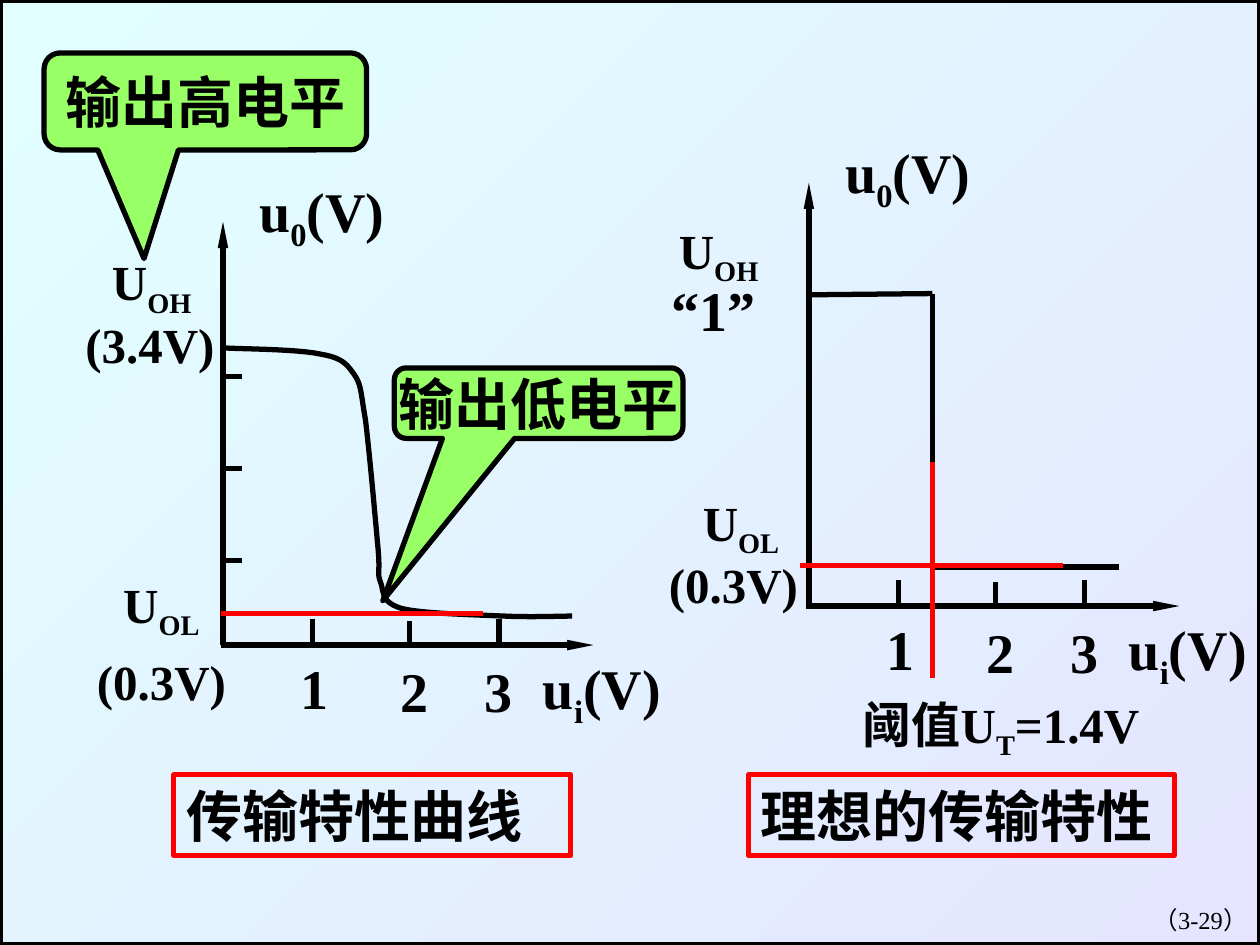
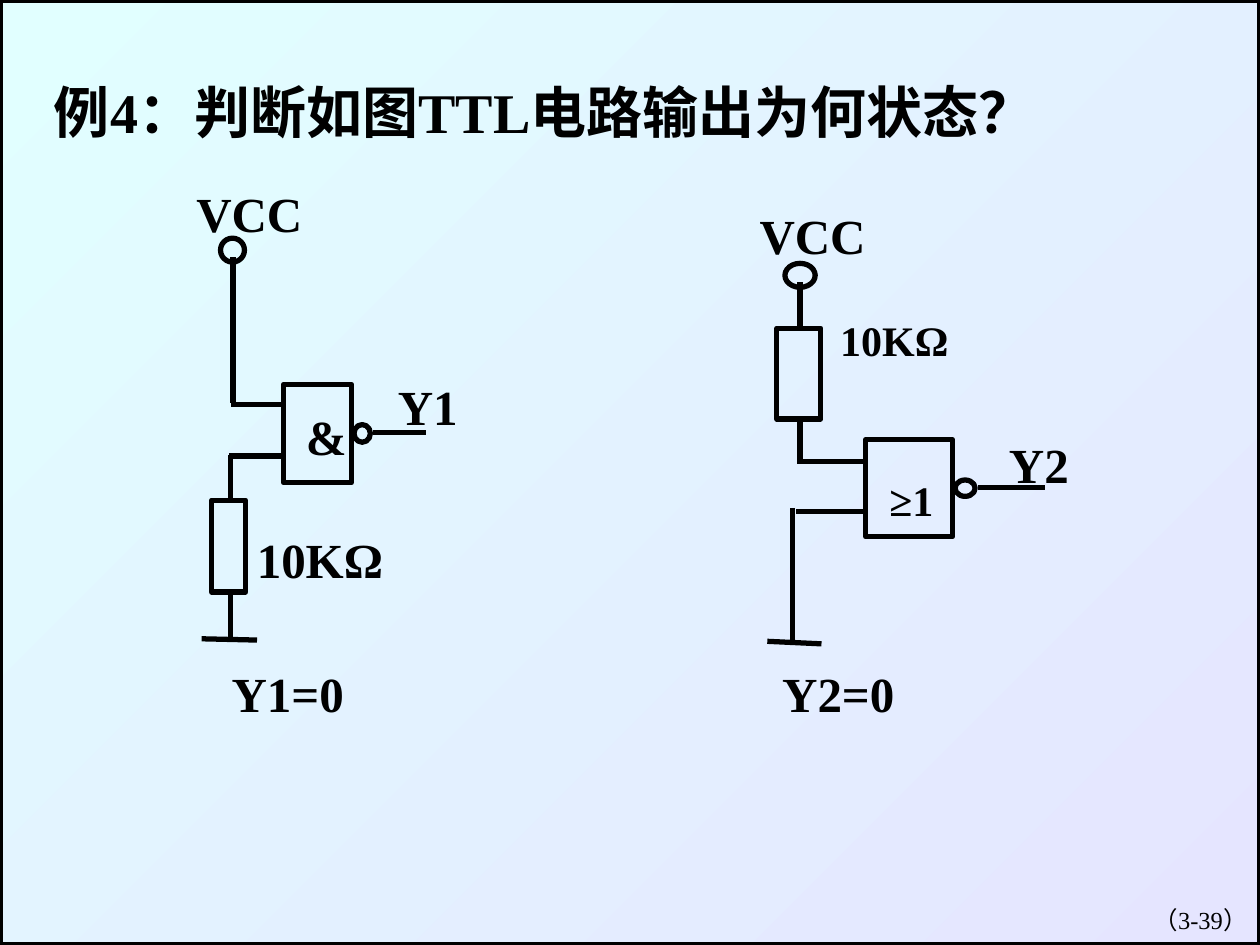
from dataclasses import dataclass

from lxml.etree import SubElement
from pptx import Presentation
from pptx.dml.color import RGBColor
from pptx.enum.lang import MSO_LANGUAGE_ID as Lang
from pptx.enum.shapes import MSO_CONNECTOR, MSO_SHAPE as Shape
from pptx.enum.text import MSO_ANCHOR as Anchor, PP_ALIGN as Align
from pptx.oxml.ns import qn
from pptx.util import Inches, Pt


@dataclass(frozen=True)
class Theme:
    font: str = "Times New Roman"
    ink: RGBColor = RGBColor(0x00, 0x00, 0x00)
    accent: RGBColor = RGBColor(0xFF, 0x00, 0x00)
    callout: RGBColor = RGBColor(0x99, 0xFF, 0x66)
    sky: RGBColor = RGBColor(0xE1, 0xFF, 0xFF)
    lilac: RGBColor = RGBColor(0xE5, 0xE5, 0xFF)
    stroke: Pt = Pt(3)
    large: int = 32
    medium: int = 28
    small: int = 24
    footer: int = 14


theme = Theme()

# Grid: 100 columns by 75 rows; every place below is in grid cells
deck = Presentation()
deck.slide_width, deck.slide_height = Inches(10), Inches(7.5)
COLUMN, ROW = deck.slide_width / 100, deck.slide_height / 75


def put(page, left, top, width, height, text="", size=theme.large, kind=None,
        line=theme.ink, fill=None, align=Align.LEFT, bold=True):
    """Add a text box, or a preset shape if kind is given; _x_ marks a subscript."""
    place = (round(left * COLUMN), round(top * ROW),
             round(width * COLUMN), round(height * ROW))
    if kind is None:
        box = page.shapes.add_textbox(*place)
    else:
        box = page.shapes.add_shape(kind, *place)
        box.shadow.inherit = False
        box.line.color.rgb, box.line.width = line, theme.stroke
        if fill is None:
            box.fill.background()
        else:
            box.fill.solid()
            box.fill.fore_color.rgb = fill
    if text:
        frame = box.text_frame
        frame.word_wrap = fill is None
        frame.vertical_anchor = Anchor.TOP if fill is None else Anchor.MIDDLE
        para = frame.paragraphs[0]
        para.alignment = align
        para.font.name, para.font.size, para.font.bold = theme.font, Pt(size), bold
        para.font.color.rgb = theme.ink
        for order, piece in enumerate(text.split("_")):
            span = para.add_run()
            span.text = piece
            span.font.language_id = Lang.SIMPLIFIED_CHINESE
            if order % 2:
                span._r.get_or_add_rPr().set("baseline", "-25000")
    return box


def draw(page, x1, y1, x2, y2, color=theme.ink, arrow=False):
    """Add a straight line between two grid points."""
    wire = page.shapes.add_connector(
        MSO_CONNECTOR.STRAIGHT, round(x1 * COLUMN), round(y1 * ROW),
        round(x2 * COLUMN), round(y2 * ROW))
    wire.line.color.rgb, wire.line.width = color, theme.stroke
    if arrow:
        SubElement(wire.line._get_or_add_ln(), qn("a:tailEnd"),
                   type="triangle", w="sm", len="lg")
    SubElement(wire._element.spPr, qn("a:effectLst"))


# Shared background and page number
pages = []
for number in ("（3-29）", "（3-39）"):
    page = deck.slides.add_slide(deck.slide_layouts[6])
    backdrop = put(page, 0, 0, 100, 75, kind=Shape.RECTANGLE)
    backdrop.fill.gradient()
    backdrop.fill.gradient_angle = 315
    for stop, color in zip(backdrop.fill.gradient_stops, (theme.sky, theme.lilac)):
        stop.color.rgb = color
    put(page, 79.2, 71.3, 20.8, 5, number, theme.footer, align=Align.RIGHT, bold=False)
    pages.append(page)
curves, circuits = pages

# Slide 1: axes, ticks and axis labels of both plots, measured from the origin
for x, y in ((17.7, 51.2), (64.2, 48.1)):
    draw(curves, x, y, x, y - 33.6, arrow=True)
    draw(curves, x - 0.2, y, x + 29.4, y, arrow=True)
    for tick, rise in ((7.1, 2.1), (14.8, 1.9), (21.9, 2.1)):
        draw(curves, x + tick, y - rise, x + tick, y - rise + 1.9)
    for text, right, down, width in (("u_0_(V)", 1.9, -37.7, 16.7), ("u_i_(V)", 24.4, 0.2, 13.8),
                                     ("1", 5.2, 0.2, 4.4), ("2", 13.1, 0.4, 4.4),
                                     ("3", 19.8, 0.4, 4.4)):
        put(curves, x + right, y + down, width, 7.1, text)
for step in range(3):
    draw(curves, 17.7, 44.5 - 7.3 * step, 19.2, 44.5 - 7.3 * step)

# Measured curve: Bézier segments (two controls and an end), sampled as short lines
segments = (
    ((18.8, 27.7), (23.6, 27.7), (25.4, 28.1)),
    ((27.2, 28.4), (27.5, 28.9), (28.1, 29.7)),
    ((28.7, 30.6), (28.6, 31), (29, 33.3)),
    ((29.3, 35.6), (29.8, 41.3), (30, 43.5)),
    ((30.2, 45.6), (29.9, 45.4), (30.2, 46.2)),
    ((30.5, 47), (30.2, 47.8), (31.9, 48.3)),
    ((33.5, 48.7), (37.7, 48.8), (40, 48.9)),
    ((42.3, 49), (44.3, 48.9), (45.4, 48.9)),
)
start = (17.5, 27.6)
points = [start]
for first, second, end in segments:
    for t in (n / 12 for n in range(1, 13)):
        points.append(tuple(
            (1 - t) ** 3 * a + 3 * (1 - t) ** 2 * t * b + 3 * (1 - t) * t ** 2 * c + t ** 3 * d
            for a, b, c, d in zip(start, first, second, end)))
    start = end
corners = [(round(x * COLUMN), round(y * ROW)) for x, y in points]
builder = curves.shapes.build_freeform(*corners[0])
builder.add_line_segments(corners[1:], close=False)
transfer = builder.convert_to_shape()
transfer.shadow.inherit = False
transfer.fill.background()
transfer.line.color.rgb, transfer.line.width = theme.ink, theme.stroke

# Ideal step, then the red level and threshold lines
for ends in ((64.2, 23.4, 74, 23.3), (74, 23.3, 74, 45.2), (74, 45, 88.8, 45)):
    draw(curves, *ends)
for ends in ((38.3, 48.7, 17.5, 48.7), (84.4, 44.9, 63.5, 44.9), (74, 36.7, 74, 53.8)):
    draw(curves, *ends, color=theme.accent)

# Level labels
for text, left, top, width, size in (
        ("U_OH_", 7.9, 19.5, 11.5, theme.medium), ("(3.4V)", 5.8, 24.5, 13.1, theme.medium),
        ("U_OL_", 8.8, 45.1, 11, theme.medium), ("(0.3V)", 6.7, 51.2, 13.1, theme.medium),
        ("U_OH_", 52.9, 17, 11, theme.medium), ("“1”", 52.3, 21.4, 13.1, theme.large),
        ("U_OL_", 54.8, 38.6, 11, theme.medium), ("(0.3V)", 52.1, 43.5, 13.1, theme.medium),
        ("阈值U_T_=1.4V", 67.5, 54.6, 29, theme.medium)):
    put(curves, left, top, width, 6.3, text, size)

# Plot captions and callouts
for text, left, width in (("传输特性曲线", 13.8, 31.5), ("理想的传输特性", 59.4, 33.8)):
    put(curves, left, 61.5, width, 6.4, text, kind=Shape.RECTANGLE, line=theme.accent)
for text, place, tip in (("输出高电平", (3.5, 4.2, 25.6, 7.7), (-0.19, 1.62)),
                         ("输出低电平", (31.3, 29.2, 22.9, 5.6), (-0.54, 2.8))):
    bubble = put(curves, *place, text, kind=Shape.ROUNDED_RECTANGULAR_CALLOUT,
                 fill=theme.callout, align=Align.CENTER)
    bubble.adjustments[0], bubble.adjustments[1] = tip

# Slide 2: gates, resistors and terminals
for place in ((22.5, 30.5, 5.4, 7.8), (16.8, 39.7, 2.7, 7.3),
              (68.7, 34.9, 6.9, 7.7), (61.65, 26.05, 3.5, 7.2)):
    put(circuits, *place, kind=Shape.RECTANGLE)
for place in ((28.1, 33.7, 1.3, 1.4), (17.5, 18.9, 1.9, 1.9),
              (75.8, 38.1, 1.6, 1.3), (62.3, 20.9, 2.4, 1.9)):
    put(circuits, *place, kind=Shape.OVAL)

# Wires: NAND circuit, then NOR circuit
for ends in (
        (18.5, 32, 18.5, 20.4), (18.3, 32.1, 22.5, 32.1), (18.2, 36.2, 22.4, 36.2),
        (29.6, 34.3, 33.8, 34.3), (18.3, 39.9, 18.3, 36.1), (18.3, 50.7, 18.3, 46.9),
        (16, 50.7, 20.4, 50.8),
        (63.5, 26.1, 63.5, 22.4), (63.5, 36.8, 63.5, 33.1), (63.3, 36.6, 68.7, 36.6),
        (63.2, 40.6, 68.5, 40.6), (77.6, 38.7, 82.9, 38.7), (62.9, 40.3, 62.9, 51.1),
        (60.9, 50.9, 65.2, 51.1)):
    draw(circuits, *ends)

# Title, circuit labels and answers
put(circuits, 3.3, 5.7, 86.1, 6.4, "例4：判断如图TTL电路输出为何状态？")
for text, left, top, size in (
        ("VCC", 14.6, 14.1, theme.medium), ("&", 23.3, 31.8, theme.medium),
        ("Y1", 30.6, 29.4, theme.medium), ("10KΩ", 19.4, 41.5, theme.medium),
        ("Y1=0", 17.4, 52.2, theme.medium),
        ("VCC", 59.3, 15.8, theme.medium), ("≥1", 69.6, 37.2, theme.small),
        ("Y2", 79.1, 34, theme.medium), ("10KΩ", 65.7, 24.5, theme.small),
        ("Y2=0", 61.1, 52.2, theme.medium)):
    put(circuits, left, top, 14, 5.7, text, size)

deck.save("out.pptx")
